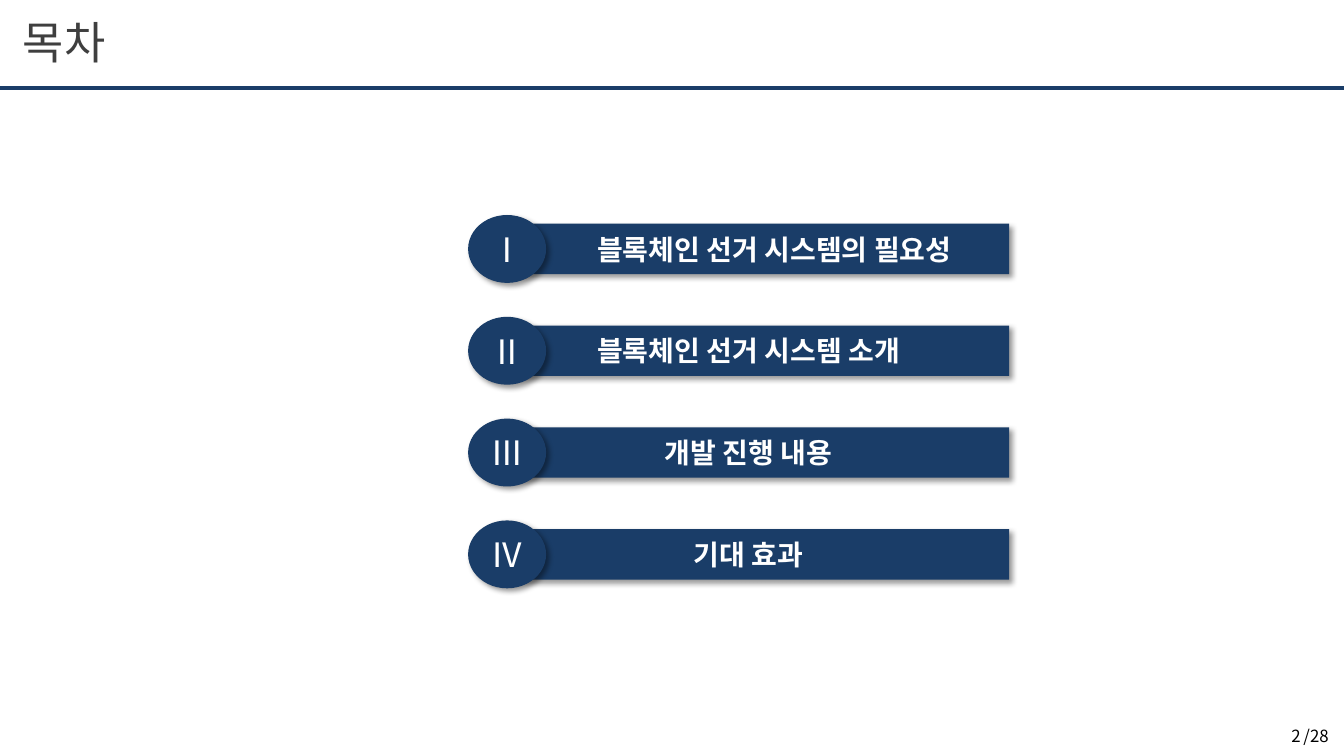
import pptx
import pptx.util
import pptx.dml.color
import pptx.enum.shapes
import pptx.enum.text
import pptx.oxml
import pptx.oxml.ns
from lxml import etree

Inches = pptx.util.Inches
Kind = pptx.enum.shapes.MSO_SHAPE
Align = pptx.enum.text.PP_ALIGN
Anchor = pptx.enum.text.MSO_ANCHOR
qn = pptx.oxml.ns.qn

FONT = "Noto Sans CJK KR"
COLORS = {"navy": "1A3D68", "gray": "3F3F3F", "black": "000000", "white": "FFFFFF"}
WIDTH, HEIGHT = 13.33, 7.5

# Numeral, topic, extra left inset that moves the topic to the right
TOPICS = [
    ("Ⅰ", "블록체인 선거 시스템의 필요성", 0.51),
    ("Ⅱ", "블록체인 선거 시스템 소개", 0),
    ("Ⅲ", "개발 진행 내용", 0),
    ("Ⅳ", "기대 효과", 0),
]


def color(name):
    return pptx.dml.color.RGBColor.from_string(COLORS[name])


def write(shape, text, size, tint, align=Align.LEFT, anchor=Anchor.MIDDLE,
          bold=False, wrap=True, indent=0):
    frame = shape.text_frame
    frame.text = text
    frame.word_wrap = wrap
    frame.vertical_anchor = anchor
    frame.margin_left = Inches(0.1 + indent)
    para = frame.paragraphs[0]
    para.alignment = align
    font = para.runs[0].font
    font.name = FONT
    font.size = pptx.util.Pt(size)
    font.bold = bold
    font.color.rgb = color(tint)
    # East Asian font for the Korean text
    east = etree.SubElement(para.runs[0].font._element, qn("a:ea"))
    east.set("typeface", FONT)


def add_shadow(shape):
    shape.shadow.inherit = False
    effects = shape._element.spPr.find(qn("a:effectLst"))
    effects.append(pptx.oxml.parse_xml(
        '<a:outerShdw xmlns:a="http://schemas.openxmlformats.org/drawingml/2006/main" '
        f'blurRad="{pptx.util.Pt(4)}" dist="{pptx.util.Pt(3)}" dir="{45 * 60000}" '
        'algn="tl" rotWithShape="0">'
        f'<a:srgbClr val="{COLORS["black"]}"><a:alpha val="40000"/></a:srgbClr>'
        '</a:outerShdw>'))


def add_solid(group, kind, left, top, width, height):
    shape = group.shapes.add_shape(
        kind, Inches(left), Inches(top), Inches(width), Inches(height))
    shape.fill.solid()
    shape.fill.fore_color.rgb = color("navy")
    add_shadow(shape)
    return shape


def add_header(slide, left, top, width, height):
    # Title
    title = slide.shapes.add_textbox(
        Inches(left + 0.13), Inches(top + 0.1), Inches(9.56), Inches(0.64))
    write(title, "목차", 32, "gray", anchor=Anchor.TOP)
    # Rule along the bottom edge
    rule = slide.shapes.add_connector(
        pptx.enum.shapes.MSO_CONNECTOR.STRAIGHT,
        Inches(left), Inches(top + height), Inches(left + width), Inches(top + height))
    rule.line.color.rgb = color("navy")
    rule.line.width = pptx.util.Pt(3)
    etree.SubElement(rule._element.spPr, qn("a:effectLst"))


def add_topic(slide, left, top, width, height, topic):
    numeral, text, indent = topic
    group = slide.shapes.add_group_shape()
    # Bar, centred on the height of the badge
    bar = add_solid(group, Kind.RECTANGLE, left + 0.19, top + (height - 0.5) / 2,
                    width - 0.19, 0.5)
    bar.line.fill.background()
    write(bar, text, 20, "white", Align.CENTER, bold=True, indent=indent)
    # Badge
    badge = add_solid(group, Kind.OVAL, left, top, 0.76, height)
    badge.line.color.rgb = color("navy")
    badge.line.width = pptx.util.Pt(1)
    write(badge, numeral, 24, "white", Align.CENTER)


def add_topics(slide, left, top, width, pitch):
    for row, topic in enumerate(TOPICS):
        add_topic(slide, left, top + row * pitch, width, 0.66, topic)


def add_footer(slide, left, top, width, height):
    # Page number, then the page total
    page = slide.shapes.add_textbox(
        Inches(left), Inches(top), Inches(width - 0.33), Inches(height))
    write(page, "2", 12, "black", Align.RIGHT)
    total = slide.shapes.add_textbox(
        Inches(left + width - 0.5), Inches(top + 0.05), Inches(0.5), Inches(0.3))
    write(total, "/28", 12, "black", anchor=Anchor.TOP, wrap=False)


def main():
    deck = pptx.Presentation()
    deck.slide_width = Inches(WIDTH)
    deck.slide_height = Inches(HEIGHT)
    slide = deck.slides.add_slide(deck.slide_layouts[6])
    add_header(slide, 0, 0, WIDTH, 0.87)
    add_topics(slide, 4.65, 2.14, 5.36, 1.01)
    add_footer(slide, 10, 7.1, WIDTH - 10, 0.4)
    deck.save("out.pptx")


if __name__ == "__main__":
    main()
